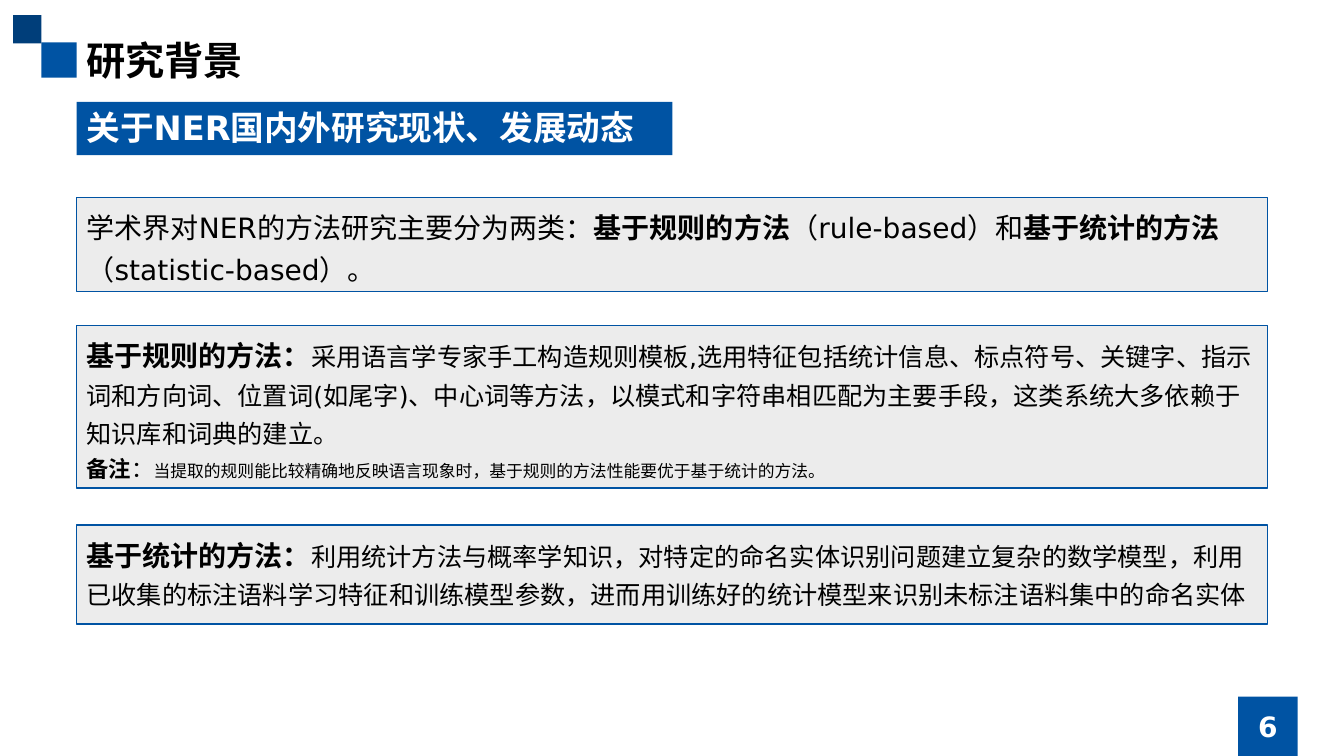
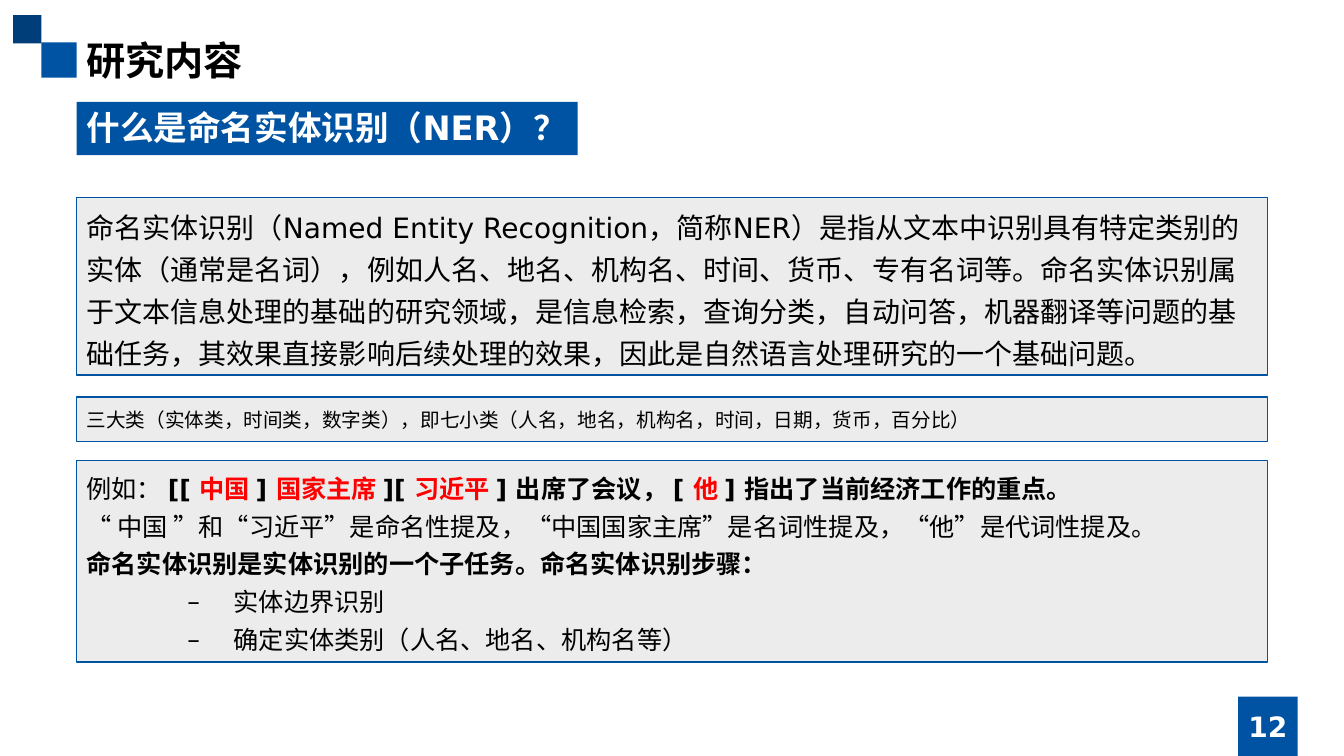
from pptx import Presentation
from pptx.dml.color import RGBColor
from pptx.enum.shapes import MSO_SHAPE
from pptx.enum.text import MSO_ANCHOR, PP_ALIGN
from pptx.oxml.ns import qn
from pptx.util import Inches, Pt
from lxml import etree

RECTANGLE = MSO_SHAPE.RECTANGLE
TOP, MIDDLE = MSO_ANCHOR.TOP, MSO_ANCHOR.MIDDLE
LEFT, CENTER = PP_ALIGN.LEFT, PP_ALIGN.CENTER

BLUE, NAVY, GREY = "0053A3", "003E7A", "ECECEC"
BLACK, WHITE, RED = "000000", "FFFFFF", "FF0000"
BODY_FONT, TITLE_FONT = "DejaVu Sans", "Noto Sans CJK SC"

# Text formats
TITLE = {"name": TITLE_FONT, "size": 28, "bold": True}
HEADING = {"size": 24, "bold": True, "color": WHITE}
NUMBER = {"size": 20, "bold": True, "color": WHITE}
LEAD, LEAD_BOLD = {"size": 20}, {"size": 20, "bold": True}
BODY, BODY_BOLD = {"size": 18}, {"size": 18, "bold": True}
BODY_RED = {**BODY_BOLD, "color": RED}
REMARK, REMARK_BOLD = {"size": 16}, {"size": 16, "bold": True}
SMALL, NOTE = {"size": 14}, {"size": 12}

MARGIN, PANEL_WIDTH = 0.76, 11.81


def rgb(value):
    return RGBColor.from_string(value)


class SlideBuilder:
    def __init__(self):
        self.deck = Presentation()
        self.deck.slide_width = Inches(13.33)
        self.deck.slide_height = Inches(7.5)
        self.slide = None

    def start(self, title, number, heading, heading_width):
        """Add a slide with its corner squares, title, number and heading band."""
        self.slide = self.deck.slides.add_slide(self.deck.slide_layouts[6])
        self.block(0.41, 0.42, 0.35, 0.35, BLUE)
        self.block(0.13, 0.15, 0.28, 0.28, NAVY)
        badge = self.block(12.28, 6.91, 0.59, 0.59, BLUE)
        self.fill_text(badge, [[(number, NUMBER)]], align=CENTER, anchor=MIDDLE, side=0)
        title_box = self.slide.shapes.add_textbox(
            Inches(MARGIN), Inches(0.31), Inches(5.91), Inches(0.6))
        self.fill_text(title_box, [[(title, TITLE)]])
        band = self.block(MARGIN, 1.01, heading_width, 0.53, BLUE)
        self.fill_text(band, [[(heading, HEADING)]], wrap=False)

    def block(self, left, top, width, height, fill, line=None):
        box = self.slide.shapes.add_shape(
            RECTANGLE, Inches(left), Inches(top), Inches(width), Inches(height))
        box.shadow.inherit = False
        box.fill.solid()
        box.fill.fore_color.rgb = rgb(fill)
        if line:
            box.line.color.rgb = rgb(line)
            box.line.width = Pt(1)
        else:
            box.line.fill.background()
        return box

    def panel(self, top, height, paragraphs, bullets=()):
        """Add a framed grey panel; bullets follow the paragraphs."""
        box = self.block(MARGIN, top, PANEL_WIDTH, height, GREY, BLUE)
        rows = paragraphs + [[(text, BODY)] for text in bullets]
        self.fill_text(box, rows, spacing=1.25, bullet_from=len(paragraphs))

    def fill_text(self, box, rows, align=LEFT, anchor=TOP, spacing=1.0,
                  wrap=True, side=0.1, bullet_from=None):
        frame = box.text_frame
        frame.word_wrap = wrap
        frame.vertical_anchor = anchor
        frame.margin_left = frame.margin_right = Inches(side)
        for index, row in enumerate(rows):
            para = frame.paragraphs[0] if index == 0 else frame.add_paragraph()
            para.alignment = align
            para.line_spacing = spacing
            if bullet_from is not None and index >= bullet_from:
                self.add_bullet(para)
            for text, style in row:
                self.add_span(para, text, style)

    def add_bullet(self, para):
        properties = para._p.get_or_add_pPr()
        properties.set("marL", str(Inches(1.46)))
        properties.set("indent", str(-Inches(0.46)))
        etree.SubElement(properties, qn("a:buFont")).set("typeface", BODY_FONT)
        etree.SubElement(properties, qn("a:buChar")).set("char", "–")

    def add_span(self, para, text, style):
        span = para.add_run()
        span.text = text
        values = {"name": BODY_FONT, "bold": False, "color": BLACK, **style}
        span.font.color.rgb = rgb(values.pop("color"))
        values["size"] = Pt(values["size"])
        for key, value in values.items():
            setattr(span.font, key, value)


def main():
    builder = SlideBuilder()

    # Research background
    builder.start("研究背景", "6", "关于NER国内外研究现状、发展动态", 5.91)
    builder.panel(1.96, 0.93, [[
        ("学术界对NER的方法研究主要分为两类：", LEAD),
        ("基于规则的方法", LEAD_BOLD),
        ("（rule-based）和", LEAD),
        ("基于统计的方法", LEAD_BOLD),
        ("（statistic-based）。", LEAD),
    ]])
    builder.panel(3.23, 1.61, [
        [("基于规则的方法：", LEAD_BOLD),
         ("采用语言学专家手工构造规则模板,选用特征包括统计信息、标点符号、关键字、"
          "指示词和方向词、位置词(如尾字)、中心词等方法，以模式和字符串相匹配为主要手段，"
          "这类系统大多依赖于知识库和词典的建立。", BODY)],
        [("备注", REMARK_BOLD), ("：", REMARK),
         ("当提取的规则能比较精确地反映语言现象时，"
          "基于规则的方法性能要优于基于统计的方法。", NOTE)],
    ])
    builder.panel(5.21, 0.98, [[
        ("基于统计的方法：", LEAD_BOLD),
        ("利用统计方法与概率学知识，对特定的命名实体识别问题建立复杂的数学模型，"
         "利用已收集的标注语料学习特征和训练模型参数，"
         "进而用训练好的统计模型来识别未标注语料集中的命名实体", BODY),
    ]])

    # Research content
    builder.start("研究内容", "12", "什么是命名实体识别（NER）？", 4.97)
    builder.panel(1.96, 1.76, [[
        ("命名实体识别（Named Entity Recognition，简称NER）是指从文本中识别具有特定类别的实体"
         "（通常是名词），例如人名、地名、机构名、时间、货币、专有名词等。"
         "命名实体识别属于文本信息处理的基础的研究领域，是信息检索，查询分类，自动问答，"
         "机器翻译等问题的基础任务，其效果直接影响后续处理的效果，"
         "因此是自然语言处理研究的一个基础问题。", LEAD),
    ]])
    builder.panel(3.94, 0.44, [[
        ("三大类（实体类，时间类，数字类），即七小类"
         "（人名，地名，机构名，时间，日期，货币，百分比）", SMALL),
    ]])
    builder.panel(4.57, 2, [
        [("例如： ", BODY), ("[[", BODY_BOLD), (" 中国 ", BODY_RED),
         ("] ", BODY_BOLD), ("国家主席", BODY_RED), (" ][ ", BODY_BOLD),
         ("习近平", BODY_RED), (" ] 出席了会议， [ ", BODY_BOLD),
         ("他", BODY_RED), (" ] 指出了当前经济工作的重点。", BODY_BOLD)],
        [("“ 中国 ”和“习近平”是命名性提及，“中国国家主席”是名词性提及，"
          "“他”是代词性提及。", BODY)],
        [("命名实体识别是实体识别的一个子任务。命名实体识别步骤：", BODY_BOLD)],
    ], bullets=["实体边界识别", "确定实体类别（人名、地名、机构名等）"])

    builder.deck.save("out.pptx")


if __name__ == "__main__":
    main()
